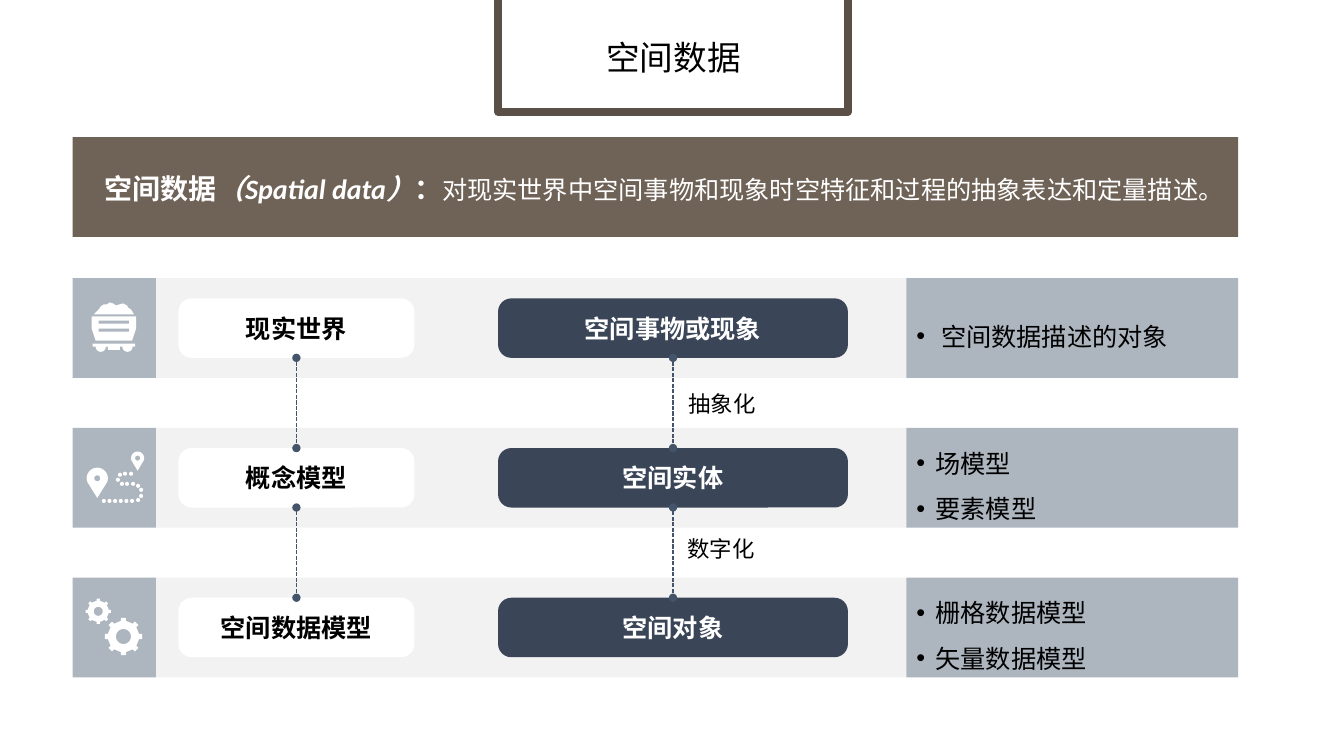
import math

import pptx
import pptx.util
from lxml import etree
from pptx.dml.color import RGBColor
from pptx.enum.dml import MSO_LINE
from pptx.enum.shapes import MSO_CONNECTOR, MSO_SHAPE
from pptx.enum.text import MSO_ANCHOR, PP_ALIGN
from pptx.oxml.ns import qn
from pptx.util import Inches, Pt

SANS = "Noto Sans CJK SC"
WHITE, BLACK, NAVY, STEEL = "FFFFFF", "000000", "3A4558", "ADB5BF"
BROWN, FRAME, PALE, LINK = "6F6257", "5B5047", "F2F2F2", "44546A"

TITLE = "空间数据"
LEAD = {"size": 20, "color": WHITE, "bold": True}
DEFINITION = [
    ("空间数据", LEAD),
    ("（Spatial data）", {**LEAD, "italic": True, "font": "Calibri"}),
    ("：", {**LEAD, "font": "Calibri"}),
    ("对现实世界中空间事物和现象时空特征和过程的抽象表达和定量描述。", {"size": 18, "color": WHITE}),
]
ROWS = [
    ("现实世界", "空间事物或现象", [" 空间数据描述的对象"]),
    ("概念模型", "空间实体", ["场模型", "要素模型"]),
    ("空间数据模型", "空间对象", ["栅格数据模型", "矢量数据模型"]),
]
STEPS = [("抽象化", 6.73, 3.71), ("数字化", 6.72, 5.15)]

ROW_TOP, ROW_PITCH, ROW_HEIGHT = 2.76, 1.485, 0.99
BANDS = [(0.72, 0.83, STEEL), (1.55, 7.44, PALE), (8.99, 3.29, STEEL)]
PILLS = [(1.77, 2.34, WHITE, BLACK), (4.94, 3.47, NAVY, WHITE)]
PILL_INSET, PILL_HEIGHT = 0.2, 0.59

# Icon parts: gears are x, y, tip, body, hole, half tooth; pins are x, y, radius, point, hole
GEARS = [(1.225, 6.315, 0.185, 0.155, 0.075, 0.025), (0.975, 6.065, 0.125, 0.105, 0.045, 0.015)]
PINS = [(0.965, 4.745, 0.105, 4.94, 0.03), (1.365, 4.545, 0.065, 4.67, 0.025)]
TRAIL = [(1.03 + 0.056 * step, 4.97) for step in range(6)] + [
    (1.37, 4.96), (1.4, 4.92), (1.4, 4.86), (1.37, 4.82), (1.32, 4.8), (1.26, 4.8),
    (1.21, 4.8), (1.17, 4.76), (1.19, 4.71), (1.24, 4.7), (1.3, 4.7)]
LOAD = [(0.93, 3.12), (0.98, 3.07), (1, 3.04), (1.03, 3.02), (1.06, 3.02), (1.09, 3), (1.12, 3.01),
        (1.15, 3.03), (1.22, 3.01), (1.26, 3.03), (1.27, 3.05), (1.3, 3.07), (1.33, 3.12)]
TUB = [(0.91, 3.14), (1.35, 3.14), (1.35, 3.26), (1.31, 3.38), (0.95, 3.38), (0.91, 3.26)]
CART_BARS = [(0.98, 3.18, 1.28, 3.21), (0.98, 3.26, 1.28, 3.29),
             (0.92, 3.41, 1.34, 3.44), (1.07, 3.44, 1.19, 3.47)]
CART_WHEELS = [(1, 3.44), (1.265, 3.44)]

deck = pptx.Presentation()
deck.slide_width, deck.slide_height = Inches(13.33), Inches(7.5)
page = deck.slides.add_slide(deck.slide_layouts[6])


def rgb(color):
    return RGBColor.from_string(color)


def paint(shape, fill):
    shape.shadow.inherit = False
    shape.line.fill.background()
    shape.fill.solid()
    shape.fill.fore_color.rgb = rgb(fill)
    return shape


def add_block(left, top, width, height, fill, kind=MSO_SHAPE.RECTANGLE):
    return paint(page.shapes.add_shape(kind, *map(Inches, (left, top, width, height))), fill)


def add_box(left, top, width, height):
    return page.shapes.add_textbox(*map(Inches, (left, top, width, height)))


def write(shape, paragraphs, align=PP_ALIGN.LEFT, spacing=1.0, bullet=False):
    """Fill a shape with paragraphs, each a list of (text, look) spans."""
    frame = shape.text_frame
    frame.word_wrap = True
    frame.vertical_anchor = MSO_ANCHOR.MIDDLE
    for index, spans in enumerate(paragraphs):
        para = frame.add_paragraph() if index else frame.paragraphs[0]
        para.alignment, para.line_spacing = align, spacing
        if bullet:
            props = para._p.get_or_add_pPr()
            props.set("marL", str(Inches(0.19)))
            props.set("indent", str(-Inches(0.19)))
            etree.SubElement(props, qn("a:buFont"), typeface="Arial")
            etree.SubElement(props, qn("a:buChar"), char="•")
        for text, look in spans:
            span = para.add_run()
            span.text = text
            values = {"name": look.get("font", SANS), "size": Pt(look["size"]),
                      "bold": look.get("bold", False), "italic": look.get("italic", False)}
            for name, value in values.items():
                setattr(span.font, name, value)
            span.font.color.rgb = rgb(look["color"])
            etree.SubElement(span._r.get_or_add_rPr(), qn("a:ea"), typeface=SANS)


def add_link(x, top, bottom):
    """Dashed vertical line with a dot at each end."""
    link = page.shapes.add_connector(MSO_CONNECTOR.STRAIGHT, *map(Inches, (x, top, x, bottom)))
    link.line.color.rgb = rgb(LINK)
    link.line.width = Pt(1)
    link.line.dash_style = MSO_LINE.SQUARE_DOT
    for end in ("a:headEnd", "a:tailEnd"):
        etree.SubElement(link.line._get_or_add_ln(), qn(end), type="oval")
    etree.SubElement(link._element.spPr, qn("a:effectLst"))


def arc(x, y, radius, start=0, stop=360, steps=24):
    angles = [math.radians(start + (stop - start) * step / steps) for step in range(steps + 1)]
    return [(x + radius * math.cos(angle), y + radius * math.sin(angle)) for angle in angles]


def gear(x, y, tip, body, half):
    points = []
    for tooth in range(8):
        cos, sin = math.cos(tooth * math.pi / 4), math.sin(tooth * math.pi / 4)
        for out, side in ((body, -half), (tip, -half), (tip, half), (body, half)):
            points.append((x + out * cos - side * sin, y + out * sin + side * cos))
    return points


def add_icon(outlines):
    """One white shape from closed outlines; an outline inside another is a hole."""
    outlines = [[(Inches(x), Inches(y)) for x, y in outline] for outline in outlines]
    builder = page.shapes.build_freeform(*outlines[0][0], scale=1.0)
    for index, outline in enumerate(outlines):
        if index:
            builder.move_to(*outline[0])
        builder.add_line_segments(outline[1:], close=True)
    paint(builder.convert_to_shape(), WHITE)


row_tops = [ROW_TOP + ROW_PITCH * index for index in range(len(ROWS))]
for top, (world, thing, notes) in zip(row_tops, ROWS):
    for left, width, fill in BANDS:
        add_block(left, top, width, ROW_HEIGHT, fill)
    for text, (left, width, fill, color) in zip((world, thing), PILLS):
        pill = add_block(left, top + PILL_INSET, width, PILL_HEIGHT, fill, MSO_SHAPE.ROUNDED_RECTANGLE)
        pill.adjustments[0] = 0.223
        write(pill, [[(text, {"size": 18, "color": color, "bold": True})]], PP_ALIGN.CENTER)
    write(add_box(8.99, top, 3.16, 1),
          [[(note, {"size": 18, "color": BLACK})] for note in notes], spacing=1.5, bullet=True)

for upper, lower in zip(row_tops, row_tops[1:]):
    for left, width, *_ in PILLS:
        add_link(left + width / 2, upper + PILL_INSET + PILL_HEIGHT, lower + PILL_INSET)
for text, left, top in STEPS:
    write(add_box(left, top, 0.98, 0.59), [[(text, {"size": 16, "color": BLACK})]])

write(add_box(5.07, 0.25, 3.22, 0.69), [[(TITLE, {"size": 24, "color": BLACK})]], PP_ALIGN.CENTER, 0.9)
title_frame = add_block(4.94, -0.6, 3.47, 1.71, WHITE)
title_frame.fill.background()
title_frame.line.color.rgb = rgb(FRAME)
title_frame.line.width = Pt(5.5)

add_block(0.72, 1.36, 11.56, 0.99, BROWN)
write(add_box(0.94, 1.65, 11.21, 0.44), [DEFINITION])

bars = [[(x1, y1), (x2, y1), (x2, y2), (x1, y2)] for x1, y1, x2, y2 in CART_BARS]
add_icon([LOAD, TUB] + bars + [arc(x, y, 0.05, 0, 180) for x, y in CART_WHEELS])
pins = [arc(x, y, radius, 160, 380) + [(x, point)] for x, y, radius, point, hole in PINS]
pin_holes = [arc(x, y, hole) for x, y, radius, point, hole in PINS]
add_icon(pins + pin_holes + [arc(x, y, 0.02, steps=12) for x, y in TRAIL])
gears = [gear(x, y, tip, body, half) for x, y, tip, body, hole, half in GEARS]
add_icon(gears + [arc(x, y, hole) for x, y, tip, body, hole, half in GEARS])

deck.save("out.pptx")
